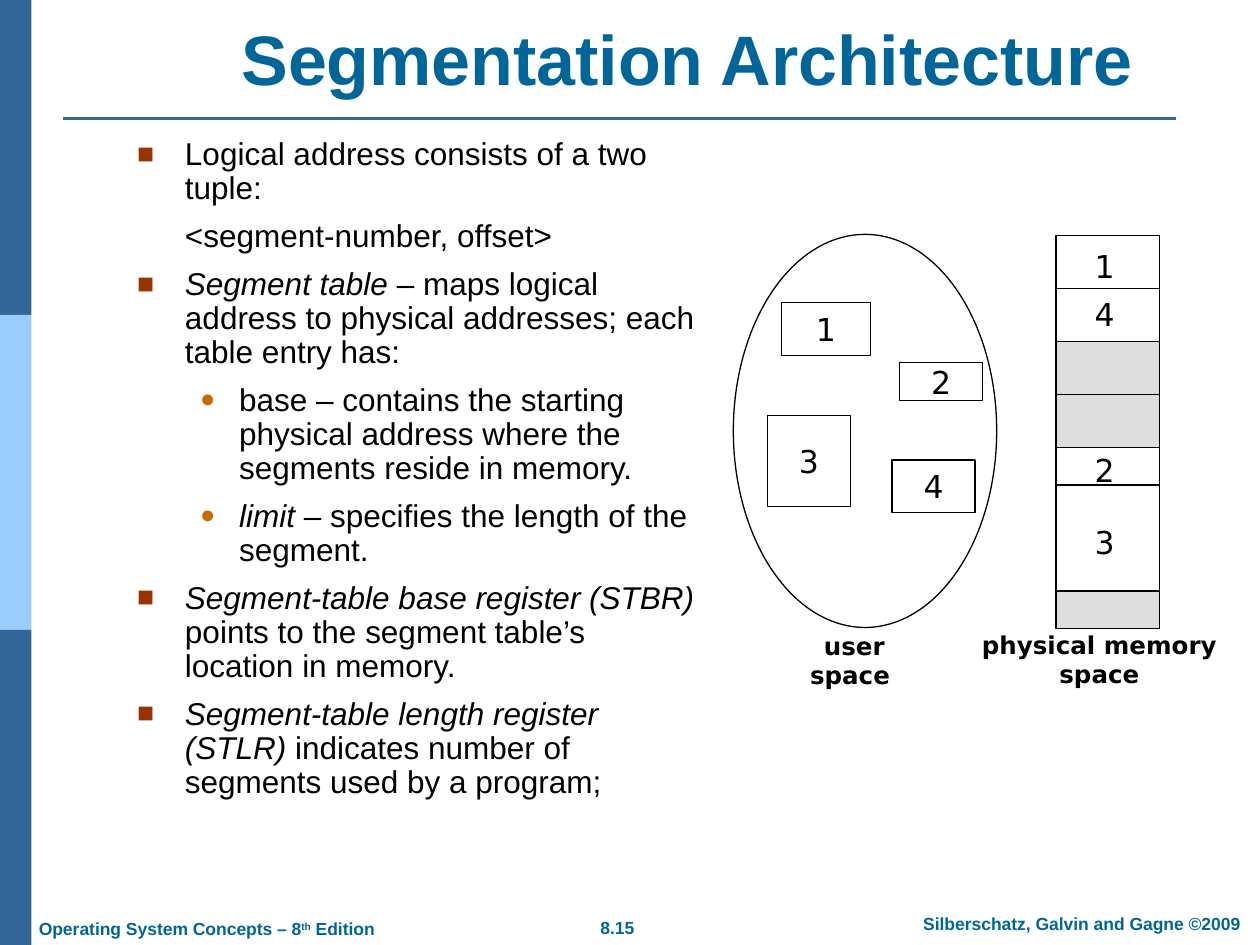
from lxml.etree import SubElement
from pptx import Presentation
from pptx.dml.color import RGBColor
from pptx.enum.shapes import MSO_CONNECTOR, MSO_SHAPE
from pptx.enum.text import MSO_ANCHOR, PP_ALIGN
from pptx.oxml.ns import qn
from pptx.util import Inches, Pt

BLACK = RGBColor(0x00, 0x00, 0x00)
WHITE = RGBColor(0xFF, 0xFF, 0xFF)
GRAY = RGBColor(0xDD, 0xDD, 0xDD)
TEAL = RGBColor(0x00, 0x66, 0x99)
BLUE = RGBColor(0x33, 0x66, 0x99)
LIGHT_BLUE = RGBColor(0x99, 0xCC, 0xFF)
RUST = RGBColor(0x99, 0x33, 0x00)
ORANGE = RGBColor(0xCC, 0x66, 0x00)

presentation = Presentation()
presentation.slide_width = Inches(10)
presentation.slide_height = Inches(7.5)
slide = presentation.slides.add_slide(presentation.slide_layouts[6])


def add_box(kind, left, top, width, height, fill=None, line=None, text="",
            align=PP_ALIGN.CENTER, anchor=MSO_ANCHOR.MIDDLE, wrap=False, **font):
    """Add a preset shape, or a text box when kind is None, with one styled paragraph."""
    place = [Inches(value) for value in (left, top, width, height)]
    if kind is None:
        shape = slide.shapes.add_textbox(*place)
    else:
        shape = slide.shapes.add_shape(kind, *place)
        shape.shadow.inherit = False
        shape.fill.solid()
        shape.fill.fore_color.rgb = fill
        if line is None:
            shape.line.fill.background()
        else:
            shape.line.color.rgb = line
            shape.line.width = Pt(0.75)
    frame = shape.text_frame
    frame.word_wrap = wrap
    frame.vertical_anchor = anchor
    if text:
        paragraph = frame.paragraphs[0]
        paragraph.alignment = align
        style = {"name": "DejaVu Sans", "size": Pt(18), "bold": False} | font
        color = style.pop("color", BLACK)
        paragraph.font.color.rgb = color
        for name, value in style.items():
            setattr(paragraph.font, name, value)
        paragraph.add_run().text = text
    return shape


def add_line(left, right, y, color, width):
    line = slide.shapes.add_connector(
        MSO_CONNECTOR.STRAIGHT, Inches(left), Inches(y), Inches(right), Inches(y))
    line.line.color.rgb = color
    line.line.width = Pt(width)
    SubElement(line._element.spPr, qn("a:effectLst"))


# Side band and rule under the title
for index, color in enumerate((BLUE, LIGHT_BLUE, BLUE)):
    add_box(MSO_SHAPE.RECTANGLE, 0, 2.5 * index, 0.25, 2.5, color)
add_line(0.5, 9.33, 0.94, BLUE, 1.5)

# Footer
footer_style = {"anchor": MSO_ANCHOR.TOP, "name": "Arial", "size": Pt(10),
                "bold": True, "color": TEAL}
add_box(None, 4.41, 7.23, 0.98, 0.27, text="8.15", **footer_style)
add_box(None, 7.1, 7.2, 2.97, 0.27, text="Silberschatz, Galvin and Gagne ©2009",
        **footer_style)
book = add_box(None, 0.21, 7.24, 3.1, 0.27, text="Operating System Concepts – 8",
               align=PP_ALIGN.LEFT, wrap=True, **footer_style)
edition = book.text_frame.paragraphs[0]
superscript = edition.add_run()
superscript.text = "th"
superscript.font._element.set("baseline", "30000")
edition.add_run().text = " Edition"

add_box(None, 1.28, 0, 8.5, 0.92, text="Segmentation Architecture ", wrap=True,
        name="Arial", size=Pt(40), bold=True, color=TEAL)

# Body: (level, bulleted, italic term, remaining text)
points = [
    (0, True, "", "Logical address consists of a two tuple:"),
    (0, False, "", "<segment-number, offset>"),
    (0, True, "Segment table",
     " – maps logical address to physical addresses; each table entry has:"),
    (1, True, "", "base – contains the starting physical address where the "
                  "segments reside in memory."),
    (1, True, "limit", " – specifies the length of the segment."),
    (0, True, "Segment-table base register (STBR)",
     " points to the segment table’s location in memory."),
    (0, True, "Segment-table length register (STLR)",
     " indicates number of segments used by a program;"),
]
levels = [(0.38, 0.38, "■", RUST, 90), (0.81, 0.31, "●", ORANGE, 80)]
body = add_box(None, 0.99, 1.05, 4.64, 5.6, anchor=MSO_ANCHOR.TOP, wrap=True).text_frame
for index, (level, bulleted, term, rest) in enumerate(points):
    paragraph = body.paragraphs[0] if index == 0 else body.add_paragraph()
    paragraph.level = level
    paragraph.line_spacing = 0.9
    paragraph.space_before = Pt(7.9 if index else 0)
    margin, hanging, bullet, bullet_color, bullet_size = levels[level]
    properties = paragraph._p.get_or_add_pPr()
    properties.set("marL", str(Inches(margin)))
    properties.set("indent", str(-Inches(hanging) if bulleted else 0))
    if bulleted:
        color_element = SubElement(properties, qn("a:buClr"))
        SubElement(color_element, qn("a:srgbClr"), val=str(bullet_color))
        SubElement(properties, qn("a:buSzPct"), val=str(bullet_size * 1000))
        SubElement(properties, qn("a:buFont"), typeface="Arial")
        SubElement(properties, qn("a:buChar"), char=bullet)
    else:
        SubElement(properties, qn("a:buNone"))
    paragraph.font.name = "Arial"
    paragraph.font.size = Pt(18)
    paragraph.font.color.rgb = BLACK
    for text, italic in ((term, True), (rest, False)):
        if text:
            run = paragraph.add_run()
            run.text = text
            run.font.italic = italic

# User space with its segments
add_box(MSO_SHAPE.OVAL, 5.82, 1.86, 2.09, 3.12, WHITE, BLACK)
for number, left, top, width, height in [
    ("1", 6.2, 2.4, 0.71, 0.42),
    ("3", 6.09, 3.3, 0.66, 0.72),
    ("2", 7.14, 2.88, 0.66, 0.3),
    ("4", 7.08, 3.65, 0.66, 0.42),
]:
    add_box(MSO_SHAPE.RECTANGLE, left, top, width, height, WHITE, BLACK, number)

# Physical memory
memory_left, memory_width = 8.38, 0.82
block_top = 1.87
for height, fill, divider in [
    (0.84, WHITE, 0.42), (0.84, GRAY, 0.42), (1.14, WHITE, 0.3), (0.3, GRAY, None),
]:
    add_box(MSO_SHAPE.RECTANGLE, memory_left, block_top, memory_width, height, fill, BLACK)
    if divider:
        add_line(memory_left, memory_left + memory_width, block_top + divider, BLACK, 0.75)
    block_top += height
for number, top in (("1", 1.91), ("4", 2.29), ("2", 3.53), ("3", 4.1)):
    add_box(None, 8.59, top, 0.34, 0.4, text=number)

for caption, left, top, width in [
    ("user space ", 6.14, 5.07, 1.28), ("physical memory space", 7.49, 5.06, 2.47),
]:
    add_box(None, left, top, width, 0.34, text=caption, wrap=True, size=Pt(14), bold=True)

presentation.save("out.pptx")
